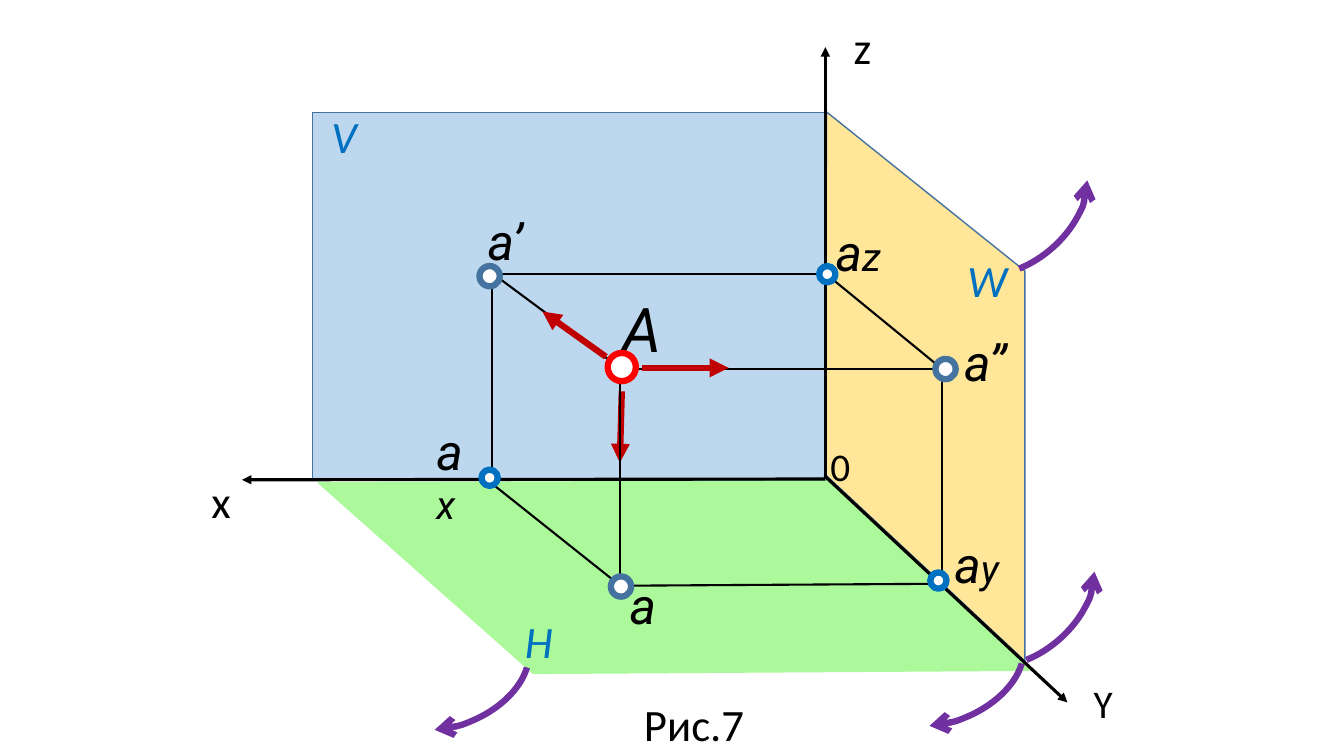
from lxml.etree import SubElement
from pptx import Presentation
from pptx.dml.color import RGBColor
from pptx.enum.shapes import MSO_CONNECTOR as Link, MSO_SHAPE as Preset
from pptx.enum.text import MSO_AUTO_SIZE as AutoSize
from pptx.oxml.ns import qn
from pptx.util import Cm, Pt

BLACK = RGBColor(0x00, 0x00, 0x00)
WHITE = RGBColor(0xFF, 0xFF, 0xFF)
BLUE = RGBColor(0x00, 0x70, 0xC0)
STEEL = RGBColor(0x43, 0x73, 0x9E)
SKY = RGBColor(0xBD, 0xD7, 0xEE)
GREEN = RGBColor(0xAB, 0xF9, 0x9B)
SAND = RGBColor(0xFF, 0xE6, 0x99)
RED = RGBColor(0xFF, 0x00, 0x00)
DARK_RED = RGBColor(0xC0, 0x00, 0x00)
PURPLE = RGBColor(0x70, 0x30, 0xA0)

# Text formats
PLANE_NAME = dict(name="Calibri", size=Pt(32), italic=True)
AXIS_LARGE = dict(name="Calibri", size=Pt(32))
AXIS_SMALL = dict(name="Calibri", size=Pt(28))
POINT_NAME = dict(name="Roboto", size=Pt(36), italic=True)
SPACE_POINT = dict(name="Roboto", size=Pt(44), italic=True)
INDEX = dict(name="Roboto", size=Pt(28), italic=True)

# Planes H and W: corners, fill, outline
SLANTED_PLANES = [
    ([(8.03, 12.17), (20.88, 12.12), (25.96, 16.89), (13.44, 16.97)], GREEN, GREEN),
    ([(20.83, 2.82), (25.83, 6.83), (25.83, 16.66), (20.8, 11.96)], SAND, STEEL),
]

# Axes x, y, z: origin end, arrow end
AXES = [
    ((20.8, 12.07), (6.1, 12.09)),
    ((20.78, 11.99), (26.9, 17.7)),
    ((20.8, 12.07), (20.8, 1.19)),
]

# Projection lines between the points
PROJECTIONS = [
    ((20.83, 6.91), (12.52, 6.91)),
    ((20.85, 6.93), (23.77, 9.32)),
    ((15.62, 9.27), (12.4, 6.88)),
    ((23.85, 9.3), (15.57, 9.3)),
    ((15.57, 14.71), (12.34, 12.14)),
    ((23.7, 14.71), (15.57, 14.76)),
    ((23.75, 14.76), (23.75, 9.45)),
    ((12.4, 12.09), (12.4, 7.01)),
    ((15.62, 14.53), (15.62, 9.25)),
]

# Viewing directions from A
DOWN_VIEW = ((15.67, 9.86), (15.62, 11.66))
SIDE_VIEWS = [
    ((15.27, 8.99), (13.67, 7.85)),
    ((16.18, 9.27), (18.36, 9.27)),
]

# Turning arrows: left, top, rotation, arrow end
TURNS = [
    (10.03, 14.88, 67.2, "tailEnd"),
    (22.5, 14.78, 67.2, "tailEnd"),
    (24.28, 3.2, 48.9, "headEnd"),
    (24.46, 13.06, 48.9, "headEnd"),
]

# Points: centre, diameter, outline
POINTS = [
    ((23.83, 9.3), 0.51, STEEL),
    ((15.65, 14.78), 0.51, STEEL),
    ((12.34, 6.96), 0.51, STEEL),
    ((15.67, 9.25), 0.71, RED),
    ((12.34, 12.04), 0.41, BLUE),
    ((23.65, 14.63), 0.41, BLUE),
    ((20.85, 6.91), 0.41, BLUE),
]

# Labels: text, frame, format, colour, wrap
LABELS = [
    ("V", (8.1, 2.62, 1.17, 1.63), PLANE_NAME, BLUE, False),
    ("H", (12.98, 15.34, 1.22, 1.63), PLANE_NAME, BLUE, False),
    ("W", (24.13, 6.25, 1.52, 1.63), PLANE_NAME, BLUE, False),
    ("x", (5.08, 11.81, 1.02, 1.63), AXIS_LARGE, BLACK, True),
    ("Y", (27.31, 16.99, 2.26, 1.45), AXIS_SMALL, BLACK, True),
    ("z", (21.26, 0.38, 1.02, 1.63), AXIS_LARGE, BLACK, True),
    ("0", (20.68, 11.02, 2.26, 1.45), AXIS_SMALL, BLACK, True),
    ("a", (15.62, 14.35, 1.02, 1.8), POINT_NAME, BLACK, True),
    ("A", (15.44, 7.21, 1.45, 2.13), SPACE_POINT, BLACK, False),
    ("a’", (12.04, 5.16, 1.5, 1.8), POINT_NAME, BLACK, True),
    ("a’’", (24.05, 8.23, 1.91, 1.8), POINT_NAME, BLACK, True),
    ("Рис.7", (15.98, 17.42, 3.07, 1.63), AXIS_LARGE, BLACK, False),
]

# Points on the axes: index letter, frame
AXIS_POINT_LABELS = [
    ("x", (11, 10.59, 1.09, 1.55)),
    ("z", (21.06, 5.56, 1.24, 1.55)),
    ("y", (24.05, 13.44, 1.47, 1.55)),
]


def set_line(shape, color, width):
    shape.line.color.rgb = color
    shape.line.width = Pt(width)


def add_arrowhead(shape, end, kind):
    outline = shape.element.spPr.find(qn("a:ln"))
    SubElement(outline, qn(f"a:{end}"), type=kind)


def style_shape(shape, fill, color, width):
    shape.shadow.inherit = False
    if fill is None:
        shape.fill.background()
    else:
        shape.fill.solid()
        shape.fill.fore_color.rgb = fill
    set_line(shape, color, width)


def add_shape(slide, preset, frame, fill, color, width):
    shape = slide.shapes.add_shape(preset, *map(Cm, frame))
    style_shape(shape, fill, color, width)
    return shape


def add_plane(slide, corners, fill, color):
    first, *others = [(Cm(x), Cm(y)) for x, y in corners]
    builder = slide.shapes.build_freeform(*first)
    builder.add_line_segments(others, close=True)
    style_shape(builder.convert_to_shape(), fill, color, 1)


def add_line(slide, start, end, color, width, arrow=False):
    line = slide.shapes.add_connector(Link.STRAIGHT, *map(Cm, start + end))
    set_line(line, color, width)
    if arrow:
        add_arrowhead(line, "tailEnd", "triangle")
    SubElement(line.element.spPr, qn("a:effectLst"))


def add_turn(slide, left, top, rotation, end):
    arc = add_shape(slide, Preset.ARC, (left, top, 2.69, 4.09), None, PURPLE, 4.5)
    arc.adjustments[0] = 173.804
    arc.adjustments[1] = 23.298
    arc.rotation = rotation
    add_arrowhead(arc, end, "arrow")


def add_point(slide, center, size, color):
    x, y = center
    frame = (x - size / 2, y - size / 2, size, size)
    add_shape(slide, Preset.OVAL, frame, WHITE, color, 4.5)


def add_label(slide, spans, frame, color, wrap=True, inset=True):
    text = slide.shapes.add_textbox(*map(Cm, frame)).text_frame
    text.word_wrap = wrap
    text.auto_size = AutoSize.SHAPE_TO_FIT_TEXT
    if not inset:
        for side in ("left", "top", "right", "bottom"):
            setattr(text, f"margin_{side}", Cm(0))
    para = text.paragraphs[0]
    for words, values in spans:
        span = para.add_run()
        span.text = words
        for key, value in values.items():
            setattr(span.font, key, value)
        span.font.color.rgb = color


def main():
    deck = Presentation()
    deck.slide_width, deck.slide_height = Cm(33.87), Cm(19.05)
    slide = deck.slides.add_slide(deck.slide_layouts[6])

    # Projection planes
    add_shape(slide, Preset.RECTANGLE, (7.87, 2.84, 12.98, 9.27), SKY, STEEL, 1)
    for plane in SLANTED_PLANES:
        add_plane(slide, *plane)

    # Axes, projection lines and viewing directions
    for start, end in AXES:
        add_line(slide, start, end, BLACK, 2.25, arrow=True)
    add_line(slide, *DOWN_VIEW, DARK_RED, 4.5, arrow=True)
    for start, end in PROJECTIONS:
        add_line(slide, start, end, BLACK, 1.5)
    for start, end in SIDE_VIEWS:
        add_line(slide, start, end, DARK_RED, 4.5, arrow=True)
    for turn in TURNS:
        add_turn(slide, *turn)

    # Labels and points
    for words, frame, values, color, wrap in LABELS:
        add_label(slide, [(words, values)], frame, color, wrap)
    for letter, frame in AXIS_POINT_LABELS:
        spans = [("a", POINT_NAME), (letter, INDEX)]
        add_label(slide, spans, frame, BLACK, inset=False)
    for point in POINTS:
        add_point(slide, *point)

    deck.save("out.pptx")


if __name__ == "__main__":
    main()
